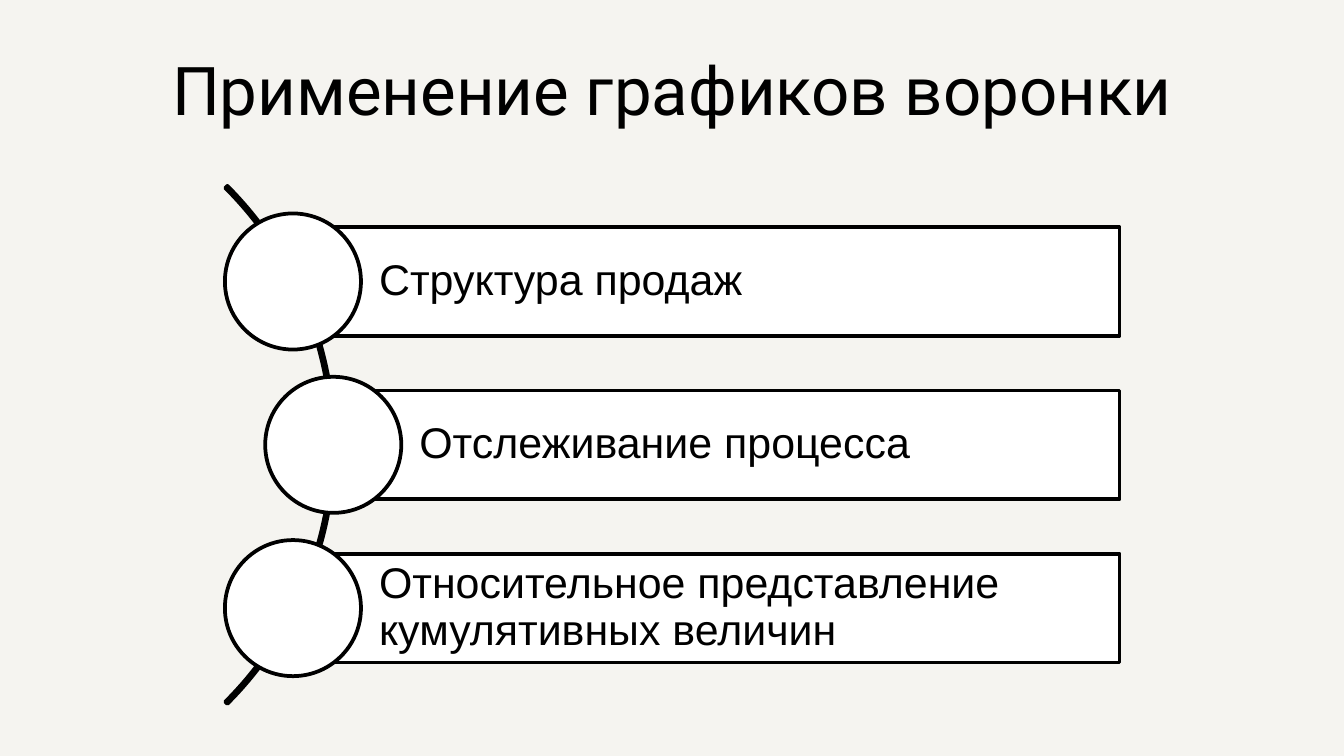
from dataclasses import dataclass

from pptx import Presentation
from pptx import util as u
from pptx.dml.color import RGBColor
from pptx.enum import shapes, text

PAPER = RGBColor(0xF5, 0xF4, 0xF0)
INK = RGBColor(0x00, 0x00, 0x00)
WHITE = RGBColor(0xFF, 0xFF, 0xFF)

# Lengths in inches
PAGE_WIDTH = 10
PAGE_HEIGHT = PAGE_WIDTH * 9 / 16
BAR_RIGHT, BAR_HEIGHT = 8.33, 0.81
ROW_PITCH = 1.5 * BAR_HEIGHT
MIDDLE_Y = 3.31
CIRCLE_SIZE = 1.25 * BAR_HEIGHT
ARC_LEFT, ARC_SIZE = -2.96, 5.45


@dataclass(frozen=True)
class Use:
    label: str
    left: float  # left edge of the bar and centre of its circle


USES = [
    Use("Структура продаж", 2.18),
    Use("Отслеживание процесса", 2.48),
    Use("Относительное представление кумулятивных величин", 2.18),
]


def add_outlined(page, kind, left: float, middle: float, width: float, height: float):
    """Add a black-outlined shape centred vertically on middle."""
    shape = page.shapes.add_shape(
        kind, u.Inches(left), u.Inches(middle - height / 2),
        u.Inches(width), u.Inches(height))
    shape.shadow.inherit = False
    shape.line.color.rgb = INK
    shape.line.width = u.Pt(2)
    return shape


def fill_white(shape) -> None:
    shape.fill.solid()
    shape.fill.fore_color.rgb = WHITE


def format_paragraph(para, font_name: str, size: float, alignment) -> None:
    para.alignment = alignment
    para.font.name = font_name
    para.font.size = u.Pt(size)
    para.font.color.rgb = INK


def add_title(page, wording: str) -> None:
    title = page.shapes.title
    title.left, title.top = u.Inches(0.34), u.Inches(0.21)
    title.width, title.height = u.Inches(9.32), u.Inches(0.85)
    frame = title.text_frame
    frame.text = wording
    frame.auto_size = text.MSO_AUTO_SIZE.NONE
    frame.vertical_anchor = text.MSO_ANCHOR.BOTTOM
    frame.margin_left = frame.margin_right = u.Inches(0.1)
    frame.margin_top = frame.margin_bottom = u.Inches(0.1)
    format_paragraph(frame.paragraphs[0], "Roboto", 36, text.PP_ALIGN.CENTER)


def add_arc(page) -> None:
    arc = add_outlined(page, shapes.MSO_SHAPE.BLOCK_ARC,
                       ARC_LEFT, MIDDLE_Y, ARC_SIZE, ARC_SIZE)
    arc.fill.background()
    for index, value in enumerate((189, 27, 0.004)):
        arc.adjustments[index] = value


def add_use(page, use: Use, middle: float) -> None:
    bar = add_outlined(page, shapes.MSO_SHAPE.RECTANGLE,
                       use.left, middle, BAR_RIGHT - use.left, BAR_HEIGHT)
    fill_white(bar)
    frame = bar.text_frame
    frame.text = use.label
    frame.word_wrap = True
    frame.vertical_anchor = text.MSO_ANCHOR.MIDDLE
    frame.margin_left = u.Inches(0.64)
    frame.margin_top = frame.margin_right = frame.margin_bottom = u.Inches(0.06)
    para = frame.paragraphs[0]
    para.line_spacing = 0.9
    format_paragraph(para, "Arial", 23, text.PP_ALIGN.LEFT)

    circle = add_outlined(page, shapes.MSO_SHAPE.OVAL,
                          use.left - CIRCLE_SIZE / 2, middle, CIRCLE_SIZE, CIRCLE_SIZE)
    fill_white(circle)


def main() -> None:
    deck = Presentation()
    deck.slide_width, deck.slide_height = u.Inches(PAGE_WIDTH), u.Inches(PAGE_HEIGHT)
    page = deck.slides.add_slide(deck.slide_layouts.get_by_name("Title Only"))
    page.background.fill.solid()
    page.background.fill.fore_color.rgb = PAPER

    add_title(page, "Применение графиков воронки")
    add_arc(page)
    for row, use in enumerate(USES):
        add_use(page, use, MIDDLE_Y + (row - 1) * ROW_PITCH)

    deck.save("out.pptx")


if __name__ == "__main__":
    main()
